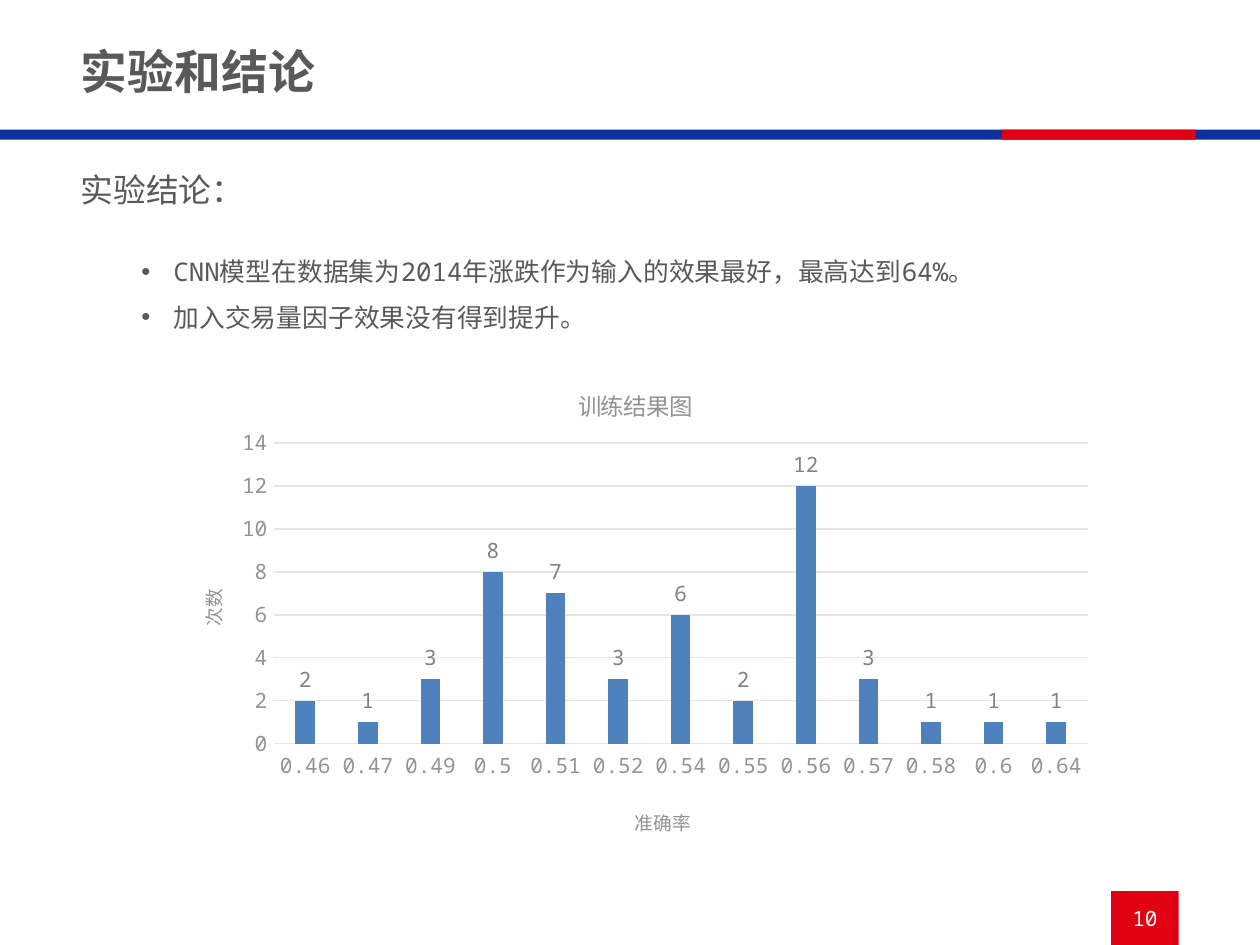
from dataclasses import dataclass

from lxml.etree import SubElement
from pptx import Presentation
from pptx.chart.data import CategoryChartData
from pptx.dml.color import RGBColor
from pptx.enum.chart import XL_CHART_TYPE, XL_LABEL_POSITION, XL_TICK_MARK
from pptx.enum.shapes import MSO_SHAPE
from pptx.enum.text import MSO_ANCHOR, MSO_AUTO_SIZE, PP_ALIGN
from pptx.oxml import parse_xml
from pptx.oxml.ns import nsdecls, qn
from pptx.util import Inches, Pt

TITLE = "实验和结论"
SUBHEADING = "实验结论："
CONCLUSIONS = [
    "CNN模型在数据集为2014年涨跌作为输入的效果最好，最高达到64%。",
    "加入交易量因子效果没有得到提升。",
]
PAGE_NUMBER = "10"
CHART_TITLE = "训练结果图"
ACCURACY_TITLE = "准确率"
COUNT_TITLE = "次数"
ACCURACY_COUNTS = {
    "0.46": 2, "0.47": 1, "0.49": 3, "0.5": 8, "0.51": 7, "0.52": 3, "0.54": 6,
    "0.55": 2, "0.56": 12, "0.57": 3, "0.58": 1, "0.6": 1, "0.64": 1,
}

WIDTH, HEIGHT = Inches(7.48), Inches(5.61)

PERCENT_BOXES = {
    "title": (5.08, 4.28, 58.96, 7.13),
    "rule": (0, 13.73, 100, 1.07),
    "accent": (79.5, 13.73, 15.4, 1.07),
    "subheading": (5.08, 17.11, 57.49, 6.06),
    "body": (9.89, 26.56, 80.35, 64.17),
    "chart": (12.3, 37.25, 75.53, 53.48),
    "page": (88.2, 94.3, 5.35, 5.7),
}


@dataclass(frozen=True)
class Theme:
    text: str = "595959"
    white: str = "FFFFFF"
    blue: str = "0A319D"
    red: str = "E10011"
    bar: str = "4F81BD"
    axis: str = "939393"
    label: str = "828282"
    grid: str = "E6E6E6"
    heading_font: str = "Arial"
    chinese_font: str = "Noto Sans CJK SC"
    mono_font: str = "Noto Sans Mono"
    title_size: int = 20
    subheading_size: int = 14
    body_size: int = 11
    chart_title_size: int = 10
    small_size: int = 9
    axis_title_size: int = 8


THEME = Theme()


def box(name):
    left, top, width, height = PERCENT_BOXES[name]
    return [round(share * length / 100) for share, length in
            ((left, WIDTH), (top, HEIGHT), (width, WIDTH), (height, HEIGHT))]


def move(shape, name):
    shape.left, shape.top, shape.width, shape.height = box(name)


def style(font, name, size, color, bold=False):
    font.name, font.size, font.bold = name, Pt(size), bold
    font.color.rgb = RGBColor.from_string(color)


def style_paragraph(paragraph, name, size, color, bold=False):
    style(paragraph.font, name, size, color, bold)
    for properties in paragraph._p.xpath("a:pPr/a:defRPr"):
        SubElement(properties, qn("a:ea"), typeface=THEME.chinese_font)


def add_bar(slide, name, color):
    shape = slide.shapes.add_shape(MSO_SHAPE.RECTANGLE, *box(name))
    shape.shadow.inherit = False
    shape.fill.solid()
    shape.fill.fore_color.rgb = RGBColor.from_string(color)
    shape.line.fill.background()
    return shape


def add_bullet(paragraph):
    properties = paragraph._p.get_or_add_pPr()
    properties.set("marL", str(Inches(0.19)))
    properties.set("indent", str(-Inches(0.19)))
    SubElement(properties, qn("a:buFont"), typeface=THEME.heading_font)
    SubElement(properties, qn("a:buChar"), char="•")


def place(element, index, inner=False, **shares):
    for layout in element.findall(qn("c:layout")):
        element.remove(layout)
    target = '<c:layoutTarget val="inner"/>' if inner else ""
    modes = "".join(f'<c:{key}Mode val="edge"/>' for key in "xy")
    values = "".join(f'<c:{key} val="{share}"/>' for key, share in shares.items())
    element.insert(index, parse_xml(
        f'<c:layout {nsdecls("c")}><c:manualLayout>{target}{modes}{values}'
        '</c:manualLayout></c:layout>'))


def set_chart_title(title, text, size, x, y):
    title.text_frame.text = text
    style(title.text_frame.paragraphs[0].font, THEME.chinese_font, size, THEME.axis)
    place(title.element if hasattr(title, "element") else title._element, 1, x=x, y=y)


def add_text(slide):
    title = slide.shapes.title
    move(title, "title")
    title.text_frame.text = TITLE
    title.text_frame.auto_size = MSO_AUTO_SIZE.NONE
    title.text_frame.vertical_anchor = MSO_ANCHOR.MIDDLE
    heading = title.text_frame.paragraphs[0]
    heading.alignment, heading.line_spacing = PP_ALIGN.LEFT, 0.9
    style_paragraph(heading, THEME.heading_font, THEME.title_size, THEME.text, True)

    body = slide.placeholders[1]
    move(body, "body")
    body.text_frame.text = "\n".join(CONCLUSIONS)
    body.text_frame.auto_size = MSO_AUTO_SIZE.NONE
    for paragraph in body.text_frame.paragraphs:
        paragraph.line_spacing, paragraph.space_before = 0.9, Pt(7.5)
        add_bullet(paragraph)
        style_paragraph(paragraph, THEME.mono_font, THEME.body_size, THEME.text)

    subheading = slide.shapes.add_textbox(*box("subheading")).text_frame
    subheading.word_wrap = True
    subheading.text = SUBHEADING
    style_paragraph(subheading.paragraphs[0], THEME.chinese_font,
                    THEME.subheading_size, THEME.text)


def add_results_chart(slide):
    data = CategoryChartData()
    data.categories = list(ACCURACY_COUNTS)
    data.add_series(COUNT_TITLE, list(ACCURACY_COUNTS.values()))
    chart = slide.shapes.add_chart(XL_CHART_TYPE.COLUMN_CLUSTERED, *box("chart"), data).chart
    style(chart.font, THEME.mono_font, THEME.chart_title_size, THEME.text)
    chart.has_legend = False
    set_chart_title(chart.chart_title, CHART_TITLE, THEME.chart_title_size, 0.44, 0.06)
    place(chart._chartSpace.xpath("c:chart/c:plotArea")[0], 0, inner=True,
          x=0.125, y=0.18, w=0.855, h=0.595)

    accuracy, count = chart.category_axis, chart.value_axis
    set_chart_title(accuracy.axis_title, ACCURACY_TITLE, THEME.axis_title_size, 0.5, 0.89)
    set_chart_title(count.axis_title, COUNT_TITLE, THEME.axis_title_size, 0.04, 0.46)
    for body in count.axis_title._element.xpath(".//a:bodyPr"):
        body.set("rot", "-5400000")
        body.set("vert", "horz")
    for axis in (accuracy, count):
        axis.major_tick_mark = axis.minor_tick_mark = XL_TICK_MARK.NONE
        style(axis.tick_labels.font, THEME.mono_font, THEME.small_size, THEME.axis)
    count.minimum_scale, count.maximum_scale, count.major_unit = 0, 14, 2
    count.format.line.fill.background()
    for line in (accuracy.format.line, count.major_gridlines.format.line):
        line.width = Pt(0.75)
        line.color.rgb = RGBColor.from_string(THEME.grid)

    plot = chart.plots[0]
    plot.gap_width, plot.overlap, plot.vary_by_categories = 219, -27, False
    fill = plot.series[0].format.fill
    fill.solid()
    fill.fore_color.rgb = RGBColor.from_string(THEME.bar)
    plot.has_data_labels = True
    labels = plot.data_labels
    labels.show_value, labels.position = True, XL_LABEL_POSITION.OUTSIDE_END
    style(labels.font, THEME.mono_font, THEME.small_size, THEME.label)


def main():
    presentation = Presentation()
    presentation.slide_width, presentation.slide_height = WIDTH, HEIGHT
    slide = presentation.slides.add_slide(presentation.slide_layouts[1])
    add_bar(slide, "rule", THEME.blue)
    add_bar(slide, "accent", THEME.red)
    page = add_bar(slide, "page", THEME.red).text_frame
    page.margin_left = page.margin_right = 0
    page.text = PAGE_NUMBER
    page.vertical_anchor = MSO_ANCHOR.MIDDLE
    page.paragraphs[0].alignment = PP_ALIGN.CENTER
    style_paragraph(page.paragraphs[0], THEME.mono_font, THEME.small_size, THEME.white)
    add_text(slide)
    add_results_chart(slide)
    presentation.save("out.pptx")


if __name__ == "__main__":
    main()
